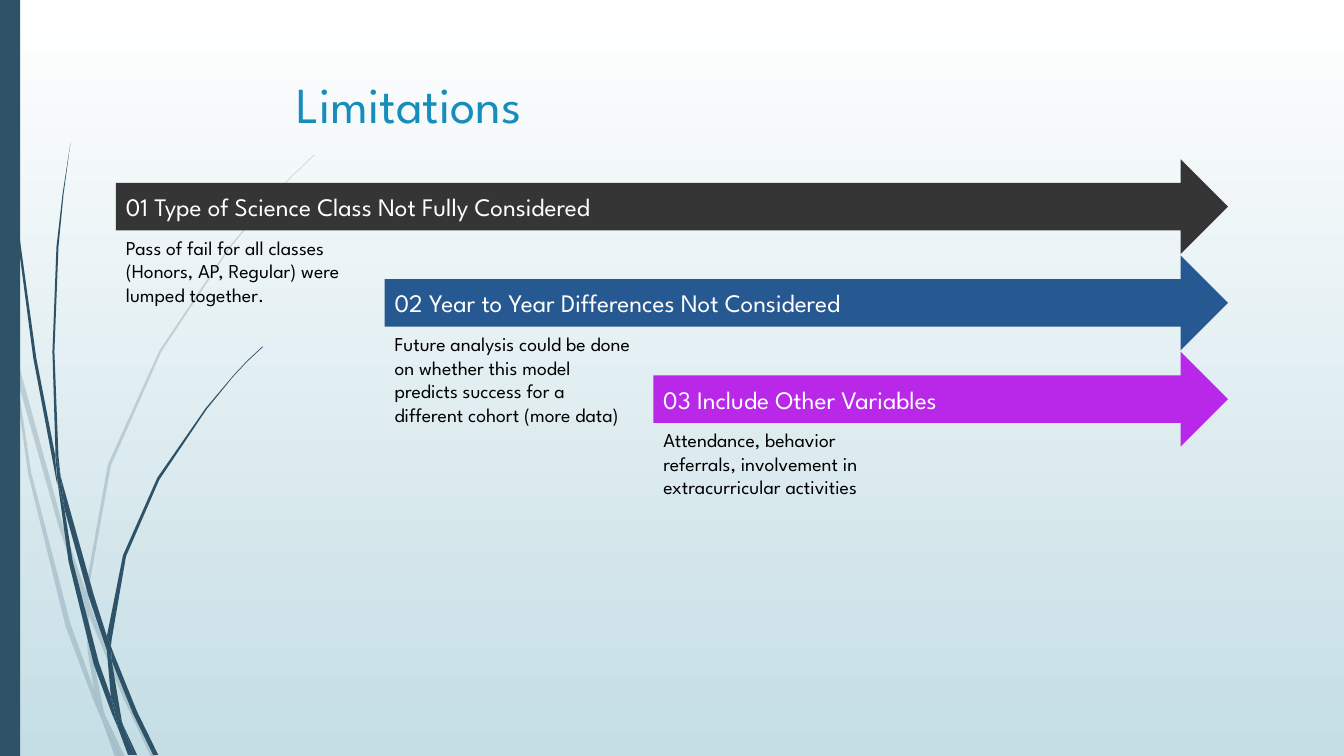
from dataclasses import dataclass

from lxml.etree import SubElement
from pptx import Presentation
from pptx.dml.color import RGBColor
from pptx.enum.shapes import MSO_SHAPE
from pptx.enum.text import MSO_ANCHOR, PP_ALIGN
from pptx.oxml.ns import qn
from pptx.util import Inches, Pt


@dataclass(frozen=True)
class Theme:
    """Colours, font and type sizes of the slide."""
    font: str = "League Spartan"
    title_size: int = 36
    arrow_size: int = 18
    note_size: int = 14
    title: str = "178DBB"
    stem: str = "2E5369"
    ink: str = "000000"
    light: str = "FFFFFF"
    sky: str = "C5DEE5"
    charcoal: str = "353535"
    blue: str = "265991"
    purple: str = "B927E9"
    faint_alpha: int = 20


THEME = Theme()

LIMITATIONS = [
    ("01 Type of Science Class Not Fully Considered", THEME.charcoal, 0.81,
     "Pass of fail for all classes (Honors, AP, Regular) were lumped together."),
    ("02 Year to Year Differences Not Considered", THEME.blue, 1.28,
     "Future analysis could be done on whether this model predicts success "
     "for a different cohort (more data)"),
    ("03 Include Other Variables", THEME.purple, 0.81,
     "Attendance, behavior referrals, involvement in extracurricular activities"),
]

FAINT_STEMS = [
    [(11, 350), (9, 322), (0, 282), (0, 299), (10, 344)],
    [(58, 522), (84, 599), (85, 586), (62, 520), (14, 345), (17, 376)],
    [(92, 607), (88, 596), (88, 610), (123, 694), (150, 751), (155, 751), (127, 692)],
    [(119, 751), (124, 751), (105, 711)],
    [(93, 683), (70, 619), (31, 469), (17, 376), (11, 350), (28, 470), (65, 621),
     (92, 693), (101, 714), (99, 707)],
    [(84, 599), (87, 646), (93, 683), (96, 692), (105, 711), (103, 706), (91, 646),
     (88, 610), (88, 608)],
    [(88, 584), (110, 462), (160, 349), (229, 245), (268, 198), (290, 175), (312, 154),
     (312, 153), (289, 175), (268, 197), (228, 244), (158, 348), (107, 461), (85, 584),
     (85, 586), (88, 596)],
    [(101, 714), (114, 751), (119, 751)],
    [(88, 608), (88, 610), (88, 596), (85, 586), (84, 599)],
    [(96, 692), (93, 683), (99, 707), (101, 714), (119, 751), (105, 711)],
]

DARK_STEMS = [
    [(7, 110), (17, 233), (33, 355), (56, 477), (57, 481), (55, 457), (55, 453),
     (36, 355), (19, 232), (8, 109), (5, 48), (4, 0), (3, 0), (4, 48)],
    [(88, 592), (106, 645), (106, 633), (106, 631), (93, 590), (60, 472), (64, 505)],
    [(113, 649), (110, 641), (111, 656), (132, 708), (152, 749), (157, 749), (136, 706)],
    [(110, 691), (98, 657), (72, 556), (64, 505), (57, 477), (68, 557), (93, 659),
     (111, 708), (117, 722), (116, 717)],
    [(60, 472), (58, 453), (54, 349), (58, 245), (63, 193), (70, 141), (62, 193),
     (56, 245), (52, 349), (55, 449)],
    [(133, 749), (136, 749), (122, 719)],
    [(57, 477), (64, 505), (60, 472), (55, 449), (55, 453)],
    [(111, 633), (125, 552), (158, 476), (205, 406), (231, 374), (245, 359), (261, 344),
     (260, 344), (245, 358), (231, 373), (204, 405), (156, 474), (122, 551), (106, 631),
     (110, 641)],
    [(117, 722), (127, 749), (131, 749)],
    [(106, 645), (110, 691), (116, 706), (122, 719), (121, 716), (111, 656), (109, 651)],
    [(106, 645), (109, 651), (111, 656), (110, 641), (106, 631), (106, 633)],
    [(116, 706), (110, 691), (116, 717), (117, 722), (130, 749), (133, 749), (122, 719)],
]


def paint(sp, color, alpha=100):
    """Give a shape a flat fill with no line or shadow."""
    sp.shadow.inherit = False
    sp.fill.solid()
    sp.fill.fore_color.rgb = RGBColor.from_string(color)
    sp.line.fill.background()
    if alpha < 100:
        clr = sp.fill._xPr.find(qn("a:solidFill"))[0]
        SubElement(clr, qn("a:alpha")).set("val", str(alpha * 1000))


def write_text(sp, text, *, size, color, anchor=MSO_ANCHOR.TOP):
    """Write one left-aligned paragraph into a shape."""
    tf = sp.text_frame
    tf.word_wrap = True
    tf.vertical_anchor = anchor
    p = tf.paragraphs[0]
    p.alignment = PP_ALIGN.LEFT
    r = p.add_run()
    r.text = text
    r.font.name = THEME.font
    r.font.size = Pt(size)
    r.font.color.rgb = RGBColor.from_string(color)


def add_text(s, text, left, top, width, height, **style):
    """Add a text box."""
    sp = s.shapes.add_textbox(Inches(left), Inches(top), Inches(width), Inches(height))
    write_text(sp, text, **style)


def add_shape(s, kind, left, top, width, height, color):
    """Add a flat preset shape."""
    sp = s.shapes.add_shape(kind, Inches(left), Inches(top), Inches(width), Inches(height))
    paint(sp, color)
    return sp


def add_stems(s, outlines, alpha=100):
    """Draw grass stems from outlines in hundredths of an inch."""
    for start, *rest in outlines:
        builder = s.shapes.build_freeform(*start, scale=Inches(0.01))
        builder.add_line_segments(rest, close=True)
        paint(builder.convert_to_shape(), THEME.stem, alpha)


def set_background(s):
    """Fill the background from white at the top to pale blue."""
    fill = s.background.fill
    fill.gradient()
    fill.gradient_angle = 270
    for stop, color, position in zip(fill.gradient_stops, (THEME.light, THEME.sky), (0, 1)):
        stop.color.rgb = RGBColor.from_string(color)
        stop.position = position


def add_limitations(s):
    """Add the staircase of arrows, each with its note below."""
    right = 12.18
    steps = [(1.15 + 2.665 * i, 1.58 + 0.955 * i) for i in range(len(LIMITATIONS))]
    for (left, top), (_, _, height, note) in zip(steps, LIMITATIONS):
        add_text(s, note, left, top + 0.71, 2.55, height,
                 size=THEME.note_size, color=THEME.ink)
    for (left, top), (heading, color, _, _) in zip(steps, LIMITATIONS):
        sp = add_shape(s, MSO_SHAPE.RIGHT_ARROW, left, top, right - left, 0.94, color)
        write_text(sp, heading, size=THEME.arrow_size, color=THEME.light,
                   anchor=MSO_ANCHOR.MIDDLE)


def main():
    """Build the slide and save it."""
    prs = Presentation()
    prs.slide_width, prs.slide_height = Inches(13.33), Inches(7.5)
    s = prs.slides.add_slide(prs.slide_layouts[6])
    set_background(s)
    add_stems(s, FAINT_STEMS, THEME.faint_alpha)
    add_stems(s, DARK_STEMS)
    add_shape(s, MSO_SHAPE.RECTANGLE, 0, 0, 0.2, 7.5, THEME.stem)
    add_text(s, "Limitations", 2.84, 0.68, 9.75, 1.4,
             size=THEME.title_size, color=THEME.title)
    add_limitations(s)
    prs.save("out.pptx")


if __name__ == "__main__":
    main()
